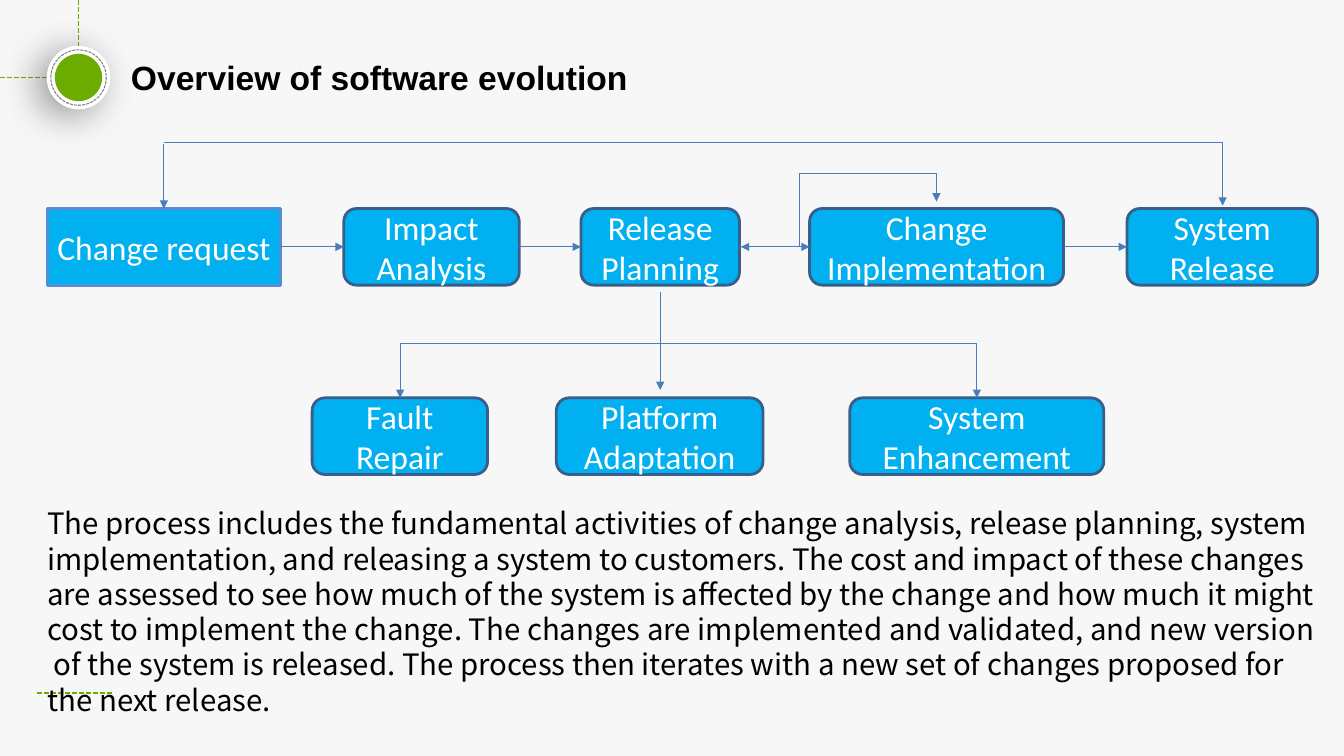
from dataclasses import dataclass

from pptx import Presentation
from pptx import util as u
from pptx.dml.color import RGBColor
from pptx.enum import dml, shapes, text
from pptx.oxml import parse_xml
from pptx.oxml.ns import nsdecls, qn

TOP, LEFT, BOTTOM, RIGHT = range(4)


@dataclass(frozen=True)
class Theme:
    back: str = "F7F7F7"
    green: str = "6CAC00"
    grey: str = "808080"
    white: str = "FFFFFF"
    black: str = "000000"
    box: str = "00B0F0"
    rect_edge: str = "558ED5"
    round_edge: str = "3A5E8A"
    arrow: str = "4A7EBB"
    title_size: float = 24
    box_size: float = 24
    body_size: float = 21
    title_font: str = "Arial"
    box_font: str = "Calibri"
    body_font: str = "Noto Sans CJK SC"


def write(tf, words, *, font, size, color, bold=False, align=text.PP_ALIGN.LEFT,
          anchor=text.MSO_ANCHOR.TOP, inset=(0, 0)):
    """Fill a text frame with one paragraph; inset is (horizontal, vertical)."""
    tf.word_wrap = True
    tf.vertical_anchor = anchor
    tf.margin_left = tf.margin_right = u.Pt(inset[0])
    tf.margin_top = tf.margin_bottom = u.Pt(inset[1])
    p = tf.paragraphs[0]
    p.alignment = align
    r = p.add_run()
    r.text = words
    r.font.name, r.font.size, r.font.bold = font, u.Pt(size), bold
    r.font.color.rgb = RGBColor.from_string(color)


class Deck:
    def __init__(self, theme):
        self.t = theme
        self.prs = Presentation()
        self.prs.slide_width, self.prs.slide_height = u.Pt(960), u.Pt(540)
        self.s = self.prs.slides.add_slide(self.prs.slide_layouts[6])
        fill = self.s.background.fill
        fill.solid()
        fill.fore_color.rgb = RGBColor.from_string(theme.back)

    def stroke(self, line, color, width, dashed=False, head=False, tail=False):
        line.color.rgb = RGBColor.from_string(color)
        line.width = u.Pt(width)
        if dashed:
            line.dash_style = dml.MSO_LINE.SQUARE_DOT
        for end, wanted in (("headEnd", head), ("tailEnd", tail)):
            if wanted:
                ln = line._get_or_add_ln()
                ln.append(parse_xml(f'<a:{end} {nsdecls("a")} type="triangle"/>'))

    def shape(self, kind, x, y, w, h, fill=None, edge=None, width=1, dashed=False):
        sp = self.s.shapes.add_shape(kind, u.Pt(x), u.Pt(y), u.Pt(w), u.Pt(h))
        sp.shadow.inherit = False
        if fill:
            sp.fill.solid()
            sp.fill.fore_color.rgb = RGBColor.from_string(fill)
        else:
            sp.fill.background()
        if edge:
            self.stroke(sp.line, edge, width, dashed)
        else:
            sp.line.fill.background()
        return sp

    def circle(self, cx, cy, d, **style):
        return self.shape(shapes.MSO_SHAPE.OVAL, cx - d / 2, cy - d / 2, d, d, **style)

    def cast_shadow(self, sp):
        sp._element.spPr.find(qn("a:effectLst")).append(parse_xml(
            f'<a:outerShdw {nsdecls("a")} blurRad="{u.Pt(28)}" dist="{u.Pt(8)}" '
            'dir="9000000" algn="ctr" rotWithShape="0"><a:srgbClr val="000000">'
            '<a:alpha val="40000"/></a:srgbClr></a:outerShdw>'))

    def box(self, words, x, y, w, h=54.7, rounded=True):
        kind = shapes.MSO_SHAPE.ROUNDED_RECTANGLE if rounded else shapes.MSO_SHAPE.RECTANGLE
        edge = self.t.round_edge if rounded else self.t.rect_edge
        sp = self.shape(kind, x, y, w, h, fill=self.t.box, edge=edge, width=2)
        write(sp.text_frame, words, font=self.t.box_font, size=self.t.box_size,
              color=self.t.white, align=text.PP_ALIGN.CENTER,
              anchor=text.MSO_ANCHOR.MIDDLE, inset=(5, 0))
        return sp

    def label(self, words, x, y, w, h, **style):
        sp = self.s.shapes.add_textbox(u.Pt(x), u.Pt(y), u.Pt(w), u.Pt(h))
        write(sp.text_frame, words, **style)

    def line(self, start=(0, 0), end=(0, 0), begin_at=None, end_at=None, **style):
        """Straight line; begin_at and end_at are (shape, side) pairs to join."""
        cx = self.s.shapes.add_connector(
            shapes.MSO_CONNECTOR.STRAIGHT, *(u.Pt(v) for v in (*start, *end)))
        if begin_at:
            cx.begin_connect(*begin_at)
        if end_at:
            cx.end_connect(*end_at)
        self.stroke(cx.line, **style)
        cx._element.spPr.append(parse_xml(f'<a:effectLst {nsdecls("a")}/>'))

    def dashes(self, start, end):
        self.line(start, end, color=self.t.green, width=1.25, dashed=True)

    def arrow(self, **ends):
        self.line(**ends, color=self.t.arrow, width=0.75, tail=True)

    def elbow(self, *points, head=False):
        """Open path through the points, with an arrowhead at its last one."""
        start, *rest = [(u.Pt(x), u.Pt(y)) for x, y in points]
        path = self.s.shapes.build_freeform(*start)
        path.add_line_segments(rest, close=False)
        sp = path.convert_to_shape()
        sp.shadow.inherit = False
        sp.fill.background()
        self.stroke(sp.line, self.t.arrow, 0.75, head=head, tail=True)


def add_heading(d):
    t = d.t
    cx, cy = 56.1, 55.4
    d.dashes((0, cy), (59, cy))
    d.dashes((cx, 0), (cx, 53.3))
    d.cast_shadow(d.circle(cx, cy, 45.4, fill=t.white))
    d.circle(cx, cy, 33.8, fill=t.green)
    d.circle(cx, cy, 39.6, edge=t.grey, width=0.75, dashed=True)
    d.dashes((26.6, 495), (80.6, 495))
    d.label("Overview of software evolution", 90, 37.6, 388, 34.6, font=t.title_font,
            size=t.title_size, color=t.black, bold=True,
            anchor=text.MSO_ANCHOR.MIDDLE, inset=(3.6, 3.6))


def add_process(d):
    top, mid, low = 149, 176.35, 284.2
    request = d.box("Change request", 33.9, top, 166.3, rounded=False)
    stages = [request] + [d.box(words, x, top, w) for words, x, w in (
        ("Impact Analysis", 245.6, 125.3),
        ("Release Planning", 415, 113.2),
        ("Change Implementation", 578.3, 181.4),
        ("System Release", 805, 136.1))]
    for a, b in zip(stages, stages[1:]):
        d.arrow(begin_at=(a, RIGHT), end_at=(b, LEFT))

    d.elbow((668.9, 144), (668.9, 123.8), (571, 123.8), (571, mid), (529.2, mid), head=True)
    d.elbow((117.2, 101.7), (873.3, 101.7), (873.3, 146.9))
    d.arrow(start=(117.05, 103), end_at=(request, TOP))

    for words, x, w in (("Fault Repair", 223, 125.3),
                        ("Platform Adaptation", 397.4, 147.6),
                        ("System Enhancement", 607, 181.4)):
        d.box(words, x, low, w)
    fork_x, fork_y = 471.6, 245.5
    d.arrow(start=(fork_x, 208.8), end=(fork_x, 278.6))
    for x in (285.8, 697.8):
        d.elbow((fork_x, fork_y), (x, fork_y), (x, low))


def main():
    d = Deck(Theme())
    add_heading(d)
    add_process(d)
    d.label(
        "The process includes the fundamental activities of change analysis, release "
        "planning, system implementation, and releasing a system to customers. The cost "
        "and impact of these changes are assessed to see how much of the system is "
        "affected by the change and how much it might cost to implement the change. The "
        "changes are implemented and validated, and new version  of the system is "
        "released. The process then iterates with a new set of changes proposed for the "
        "next release.",
        33.8, 361, 907.4, 162, font=d.t.body_font, size=d.t.body_size,
        color=d.t.black)
    d.prs.save("out.pptx")


if __name__ == "__main__":
    main()
